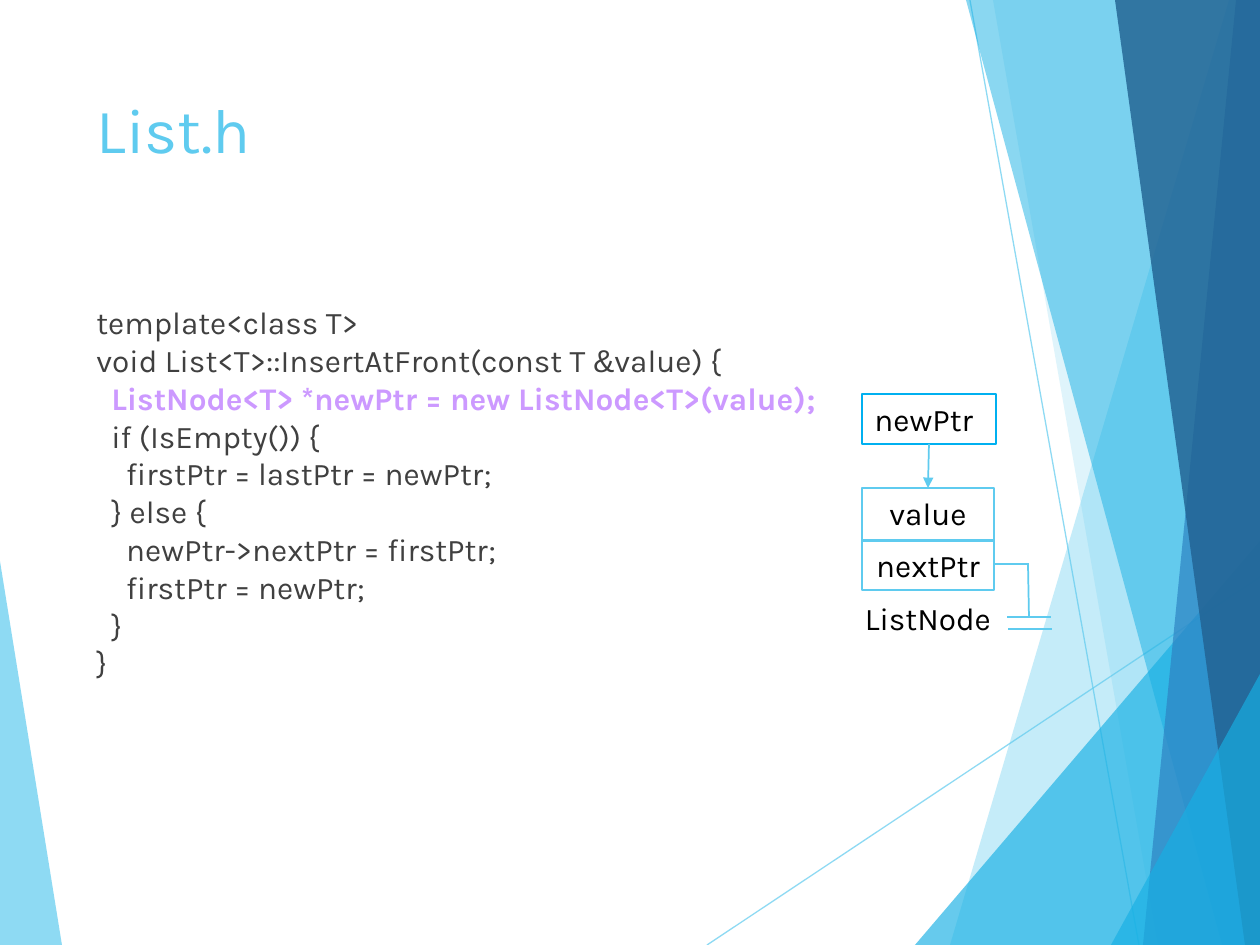
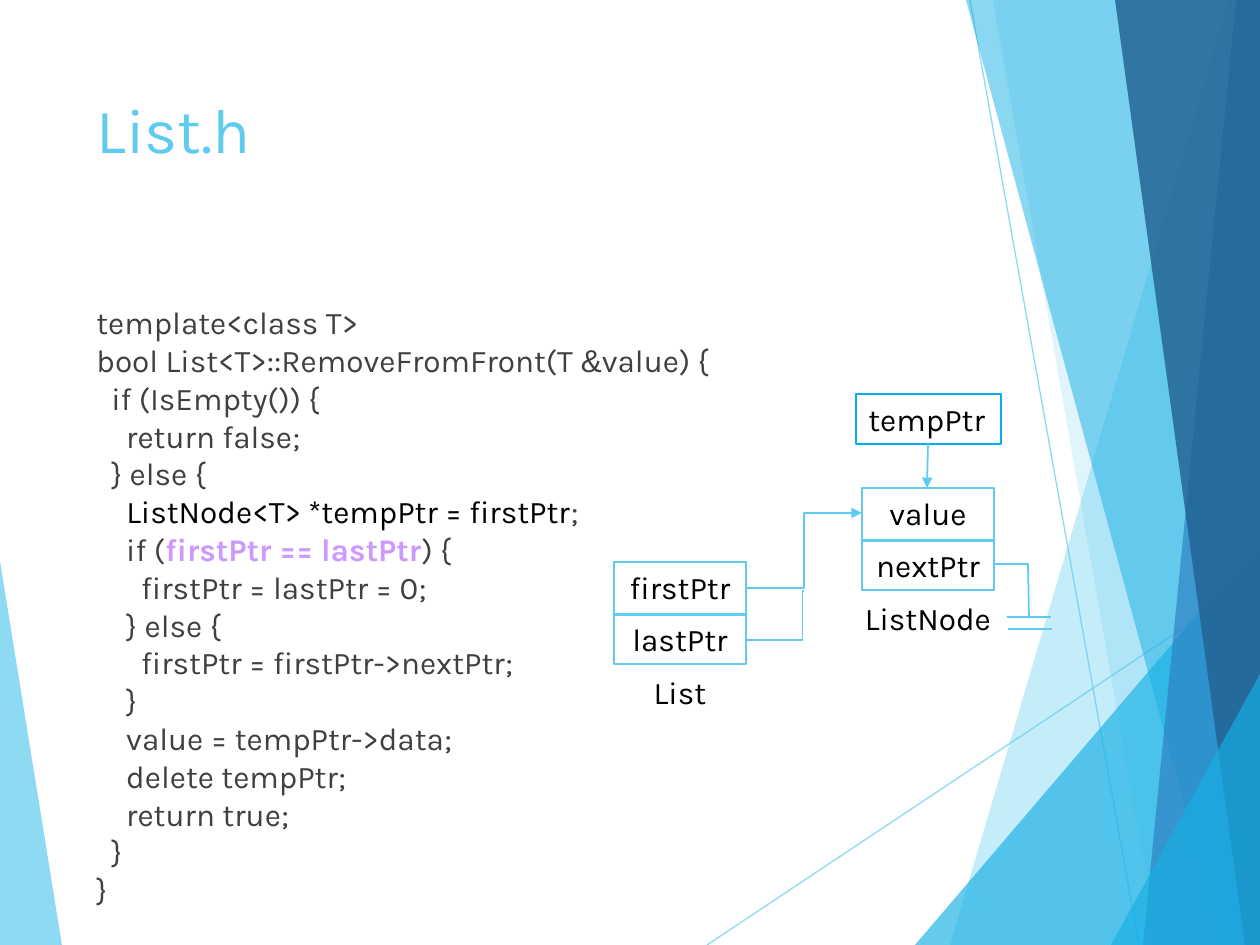
from dataclasses import dataclass
from lxml.etree import SubElement as Sub
from pptx import Presentation
from pptx.dml.color import RGBColor as RGB
from pptx.enum.shapes import MSO_CONNECTOR as Link, MSO_SHAPE as Shape
from pptx.enum.text import MSO_ANCHOR as Anchor, MSO_AUTO_SIZE as Fit, PP_ALIGN as Align
from pptx.oxml.ns import qn
from pptx.util import Emu, Pt

PX = 914400 / 126
WIDE, HIGH = 1260, 945


@dataclass(frozen=True)
class Theme:
    font: str = "Karla"
    alt: str = "Arial"
    sky: str = "5FCBEF"
    cyan: str = "17B0E4"
    blue: str = "2E83C3"
    navy: str = "226292"
    edge: str = "00B0F0"
    code: str = "404040"
    ink: str = "000000"
    mark: str = "CC99FF"
    head: int = 36
    text: int = 18
    thin: float = 0.75
    line: float = 1


T = Theme()

# upper x, upper y, lower x, side of the slide it fills to, colour, opacity
FACETS = [
    (0, 561, 62, 0, T.sky, 70),
    (1229, 0, 950, WIDE, T.sky, 36),
    (993, 0, 1158, WIDE, T.sky, 20),
    (WIDE, 541, 915, WIDE, T.cyan, 66),
    (966, 0, 1222, WIDE, T.cyan, 50),
    (1236, 0, 1143, WIDE, T.blue, 70),
    (1115, 0, 1245, WIDE, T.navy, 82),
    (WIDE, 674, 1111, WIDE, T.cyan, 66),
]
RAYS = [(707, HIGH, WIDE, 577), (970, 0, 1139, HIGH)]

AMP = ("&", "amp")
INSERT = [
    ["template<class T>"],
    ["void List<T>::InsertAtFront(const T ", AMP, "value) {"],
    ["  ", ("ListNode<T> *newPtr = new ListNode<T>(value);", "mark")],
    ["  if (IsEmpty()) {"],
    ["    firstPtr = lastPtr = newPtr;"],
    ["  } else {"],
    ["    newPtr->nextPtr = firstPtr;"],
    ["    firstPtr = newPtr;"],
    ["  }"],
    ["}"],
]
REMOVE = [
    ["template<class T>"],
    ["bool List<T>::RemoveFromFront(T ", AMP, "value) {"],
    ["  if (IsEmpty()) {"],
    ["    return false;"],
    ["  } else {"],
    ["    ", ("ListNode<T> *tempPtr = firstPtr", "ink"), ";"],
    ["    if (", ("firstPtr == lastPtr", "mark"), ") {"],
    ["      firstPtr = lastPtr = 0;"],
    ["    } else {"],
    ["      firstPtr = firstPtr->nextPtr;"],
    ["    }"],
    ["    value = tempPtr->data;"],
    ["    delete tempPtr;"],
    ["    return true;"],
    ["  }"],
    ["}"],
]


def emu(*sizes):
    return [Emu(round(size * PX)) for size in sizes]


def fade(fill, alpha):
    """Set the opacity, in percent, of a solid fill element."""
    color = fill.find(".//" + qn("a:srgbClr"))
    Sub(color, qn("a:alpha"), val=str(alpha * 1000))


def style(font, size, color):
    font.name, font.size = T.font, Pt(size)
    font.color.rgb = RGB.from_string(color)


def wire(slide, x1, y1, x2, y2, width=T.line, kind=Link.STRAIGHT, arrow=False):
    link = slide.shapes.add_connector(kind, *emu(x1, y1, x2, y2))
    link.line.color.rgb = RGB.from_string(T.sky)
    link.line.width = Pt(width)
    props = link.element.spPr
    Sub(props, qn("a:effectLst"))
    if arrow:
        Sub(props.find(qn("a:ln")), qn("a:tailEnd"), type="triangle")
    return link


def facet(slide, x1, y1, x2, side, color, alpha):
    pen = slide.shapes.build_freeform(x1, y1, scale=PX)
    pen.add_line_segments([(x2, HIGH), (side, HIGH), (side, y1)], close=True)
    shape = pen.convert_to_shape()
    shape.shadow.inherit = False
    shape.fill.solid()
    shape.fill.fore_color.rgb = RGB.from_string(color)
    fade(shape.element.spPr, alpha)
    shape.line.fill.background()
    return shape


def backdrop(slide, layout):
    """Draw the facets and rays, then hand them to the layout."""
    parts = [facet(slide, *FACETS[0])]
    for ray in RAYS:
        link = wire(slide, *ray, width=T.thin)
        fade(link.element.spPr, 70)
        parts.append(link)
    parts += [facet(slide, *row) for row in FACETS[1:]]
    for part in parts:
        layout.shapes.element.append(part.element)


def title(slide, text, box):
    head = slide.shapes.title
    head.left, head.top, head.width, head.height = emu(*box)
    frame = head.text_frame
    frame.text = text
    frame.auto_size, frame.vertical_anchor = Fit.NONE, Anchor.TOP
    para = frame.paragraphs[0]
    para.alignment = Align.LEFT
    style(para.font, T.head, T.sky)


def listing(slide, lines, box):
    frame = slide.shapes.add_textbox(*emu(*box)).text_frame
    frame.word_wrap = True
    for i, line in enumerate(lines):
        para = frame.add_paragraph() if i else frame.paragraphs[0]
        style(para.font, T.text, T.code)
        for part in line:
            text, look = (part, "") if isinstance(part, str) else part
            run = para.add_run()
            run.text = text
            if look == "amp":
                run.font.name = T.alt
            elif look:
                run.font.color.rgb = RGB.from_string(getattr(T, look))
                run.font.bold = True if look == "mark" else None


def cell(slide, text, box, edge=None, align=Align.CENTER):
    """Place a label, in a frame if an edge colour is given."""
    if edge:
        shape = slide.shapes.add_shape(Shape.RECTANGLE, *emu(*box))
        shape.shadow.inherit = False
        shape.fill.background()
        shape.line.color.rgb = RGB.from_string(edge)
        shape.line.width = Pt(T.thin)
    else:
        shape = slide.shapes.add_textbox(*emu(*box))
    frame = shape.text_frame
    frame.word_wrap, frame.vertical_anchor = True, Anchor.TOP
    para = frame.paragraphs[0]
    para.text, para.alignment = text, align
    style(para.font, T.text, T.ink)


def record(slide, x, y, fields, name):
    """Two stacked fields with the name of their type below."""
    upper, lower = fields
    cell(slide, upper, (x, y, 132, 53), T.sky)
    cell(slide, lower, (x, y + 52, 132, 50), T.sky)
    cell(slide, name, (x - 11, y + 105, 154, 50))


def node(slide, x, y):
    """A list node whose next pointer ends at the null sign."""
    record(slide, x, y, ("value", "nextPtr"), "ListNode")
    for x1, y1, x2, y2 in [(133, 76, 167, 76), (189, 129, 145, 129),
                           (190, 141, 146, 141), (166, 76, 167, 129)]:
        wire(slide, x + x1, y + y1, x + x2, y + y2)


def pointer(slide, name, x, y, wide):
    cell(slide, name, (x, y, wide, 50), T.edge, Align.LEFT)
    mid = x + wide // 2
    wire(slide, mid, y + 50, mid - 1, y + 94, arrow=True)


def holder(slide, x, y, goal):
    """The list object, both of its pointers joined on the way to the goal."""
    record(slide, x, y, ("firstPtr", "lastPtr"), "List")
    side = x + 132
    wire(slide, side, y + 26, *goal, kind=Link.ELBOW, arrow=True)
    last = wire(slide, side, y + 78, side + 58, y + 29, kind=Link.ELBOW)
    guides = last.element.spPr.find(qn("a:prstGeom")).get_or_add_avLst()
    Sub(guides, qn("a:gd"), name="adj1", fmla="val 97300")


def page(deck, layout, lines):
    slide = deck.slides.add_slide(layout)
    title(slide, "List.h", (84, 84, 874, 181))
    listing(slide, lines, (84, 297, 874, 534))
    return slide


def main():
    deck = Presentation()
    deck.slide_width, deck.slide_height = emu(WIDE, HIGH)
    layout = deck.slide_layouts[5]
    x, y = 862, 488

    first = page(deck, layout, INSERT)
    backdrop(first, layout)
    node(first, x, y)
    pointer(first, "newPtr", x, y - 94, 134)

    second = page(deck, layout, REMOVE)
    holder(second, 614, 562, (x, y + 25))
    node(second, x, y)
    pointer(second, "tempPtr", x - 6, y - 94, 145)
    deck.save("out.pptx")


if __name__ == "__main__":
    main()
